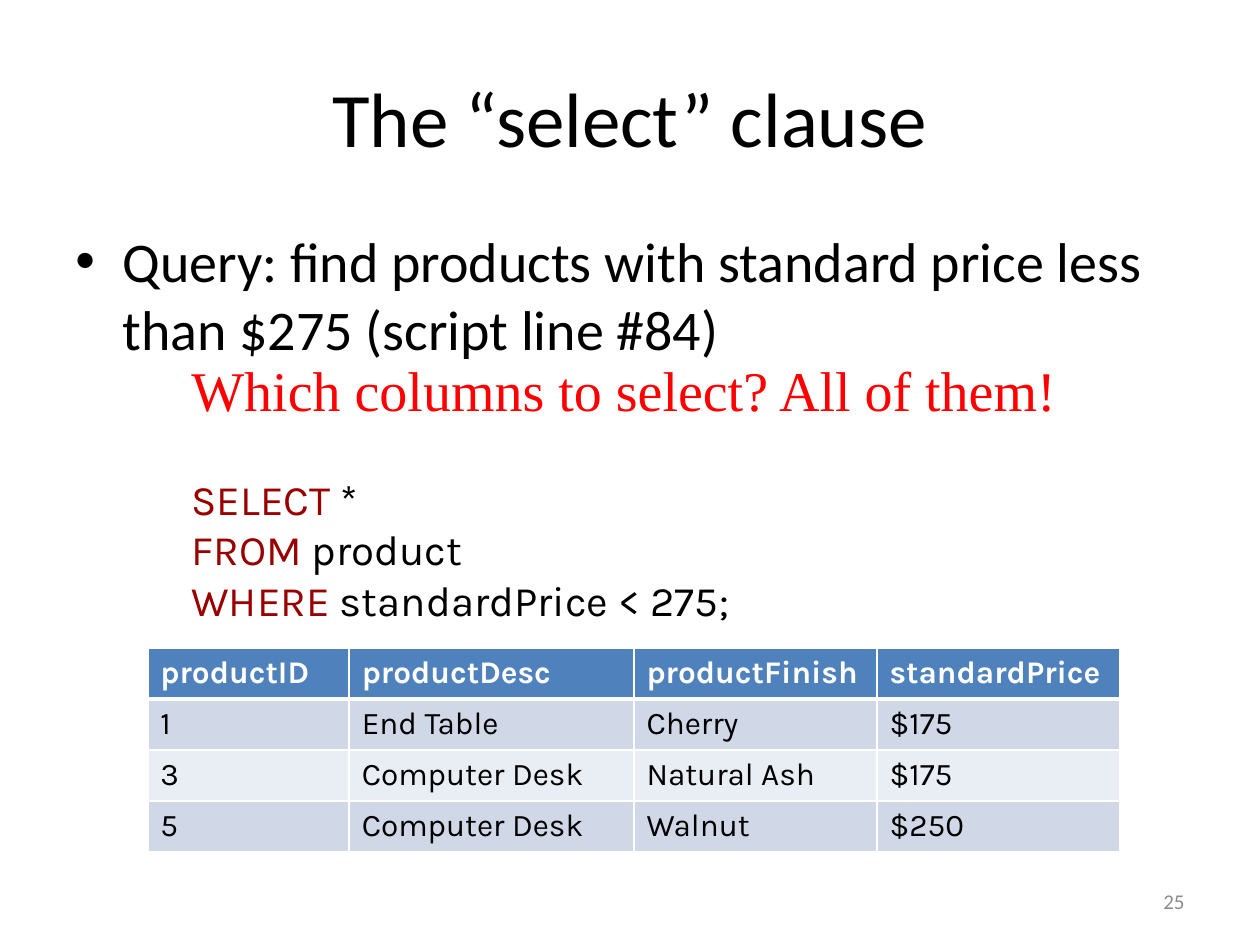
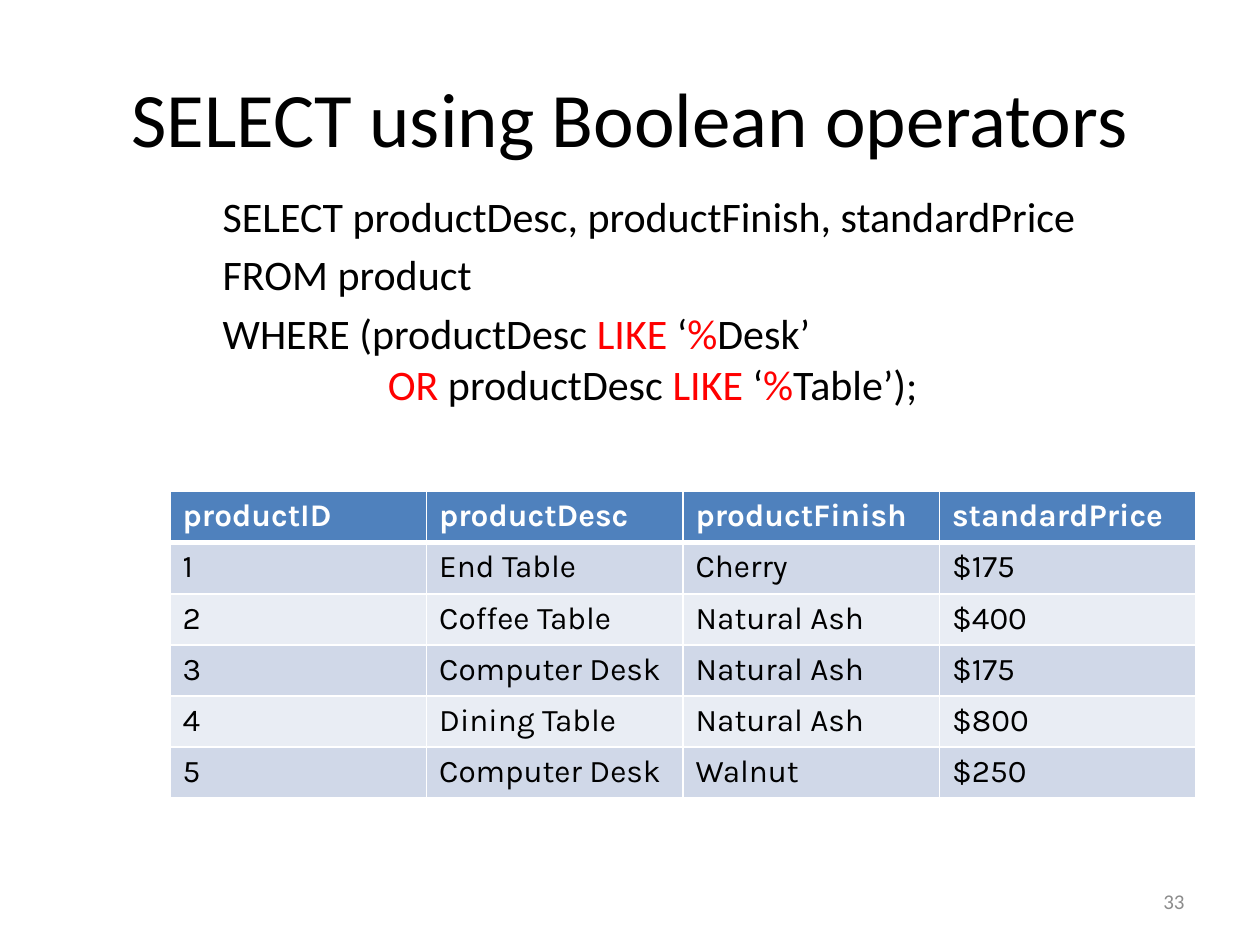
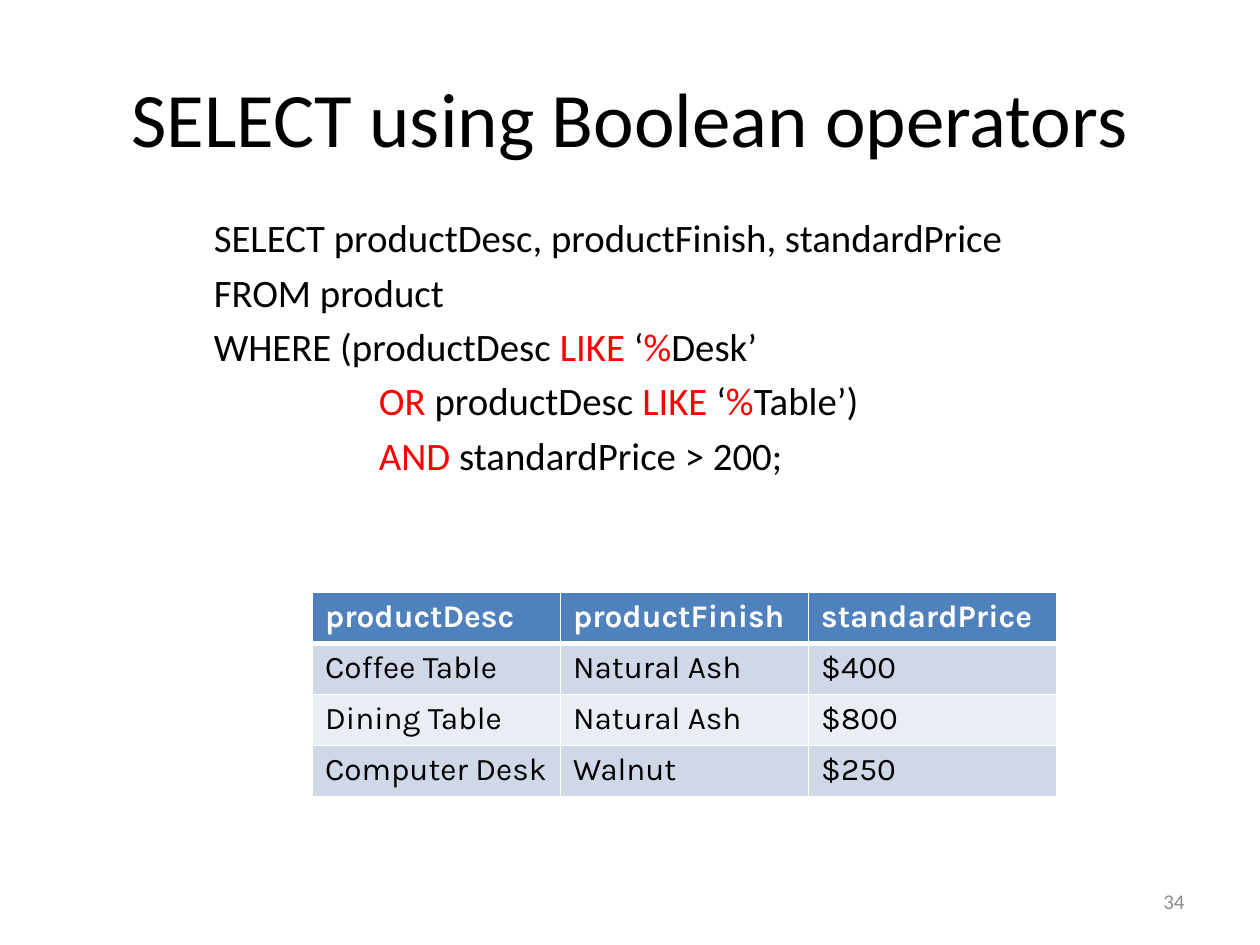
from pptx import Presentation
from pptx.dml.color import RGBColor as Rgb
from pptx.enum.text import MSO_ANCHOR as Anchor, PP_ALIGN as Align
from pptx.oxml.ns import qn
from pptx.util import Cm, Pt
from lxml.etree import SubElement

COLORS = {
    "ink": "000000", "paper": "FFFFFF", "accent": "FF0000", "keyword": "990000",
    "header": "4F81BD", "odd_row": "D0D8E8", "even_row": "E9EDF4", "page": "8C8C8C",
}
TITLE_BOX = (1.27, 0.76, 22.86, 3.18)
PAGE_BOX = (18.2, 17.65, 5.93, 1.02)
CODE_INDENT = 1.27
CONDITION_INDENT = 4.6
ROW_HEIGHT = 1.03
HEADINGS = ["productID", "productDesc", "productFinish", "standardPrice"]
END_TABLE = ["1", "End Table", "Cherry", "$175"]
COFFEE_TABLE = ["2", "Coffee Table", "Natural Ash", "$400"]
ASH_DESK = ["3", "Computer Desk", "Natural Ash", "$175"]
DINING_TABLE = ["4", "Dining Table", "Natural Ash", "$800"]
WALNUT_DESK = ["5", "Computer Desk", "Walnut", "$250"]
SELECT_FROM = [
    [("SELECT productDesc, productFinish, standardPrice", "ink")],
    [("FROM product", "ink")],
]


def rgb(name):
    """Return the palette colour with this name."""
    return Rgb.from_string(COLORS[name])


def style(font, size, color, face="Calibri", bold=False):
    """Apply one text style to a font."""
    font.size, font.name, font.bold = Pt(size), face, bold
    font.color.rgb = rgb(color)


def add_box(slide, box):
    """Add a wrapping text box and return its text frame."""
    frame = slide.shapes.add_textbox(*map(Cm, box)).text_frame
    frame.word_wrap = True
    return frame


def indent(paragraph, left, first=0):
    """Set the left margin and first-line indent of a paragraph."""
    properties = paragraph._p.get_or_add_pPr()
    properties.set("marL", str(Cm(left)))
    properties.set("indent", str(Cm(first)))
    return properties


def add_line(frame, pieces, size, face="Calibri", left=CODE_INDENT, before=0):
    """Write one line of coloured pieces into a text frame."""
    started = bool(frame.paragraphs[0].runs)
    line = frame.add_paragraph() if started else frame.paragraphs[0]
    indent(line, left)
    line.space_before = Pt(before if started else 0)
    for words, color in pieces:
        run = line.add_run()
        run.text = words
        style(run.font, size, color, face)


def start_slide(deck, heading, number):
    """Add a slide with its title and page number."""
    slide = deck.slides.add_slide(deck.slide_layouts[5])
    title = slide.shapes.title
    title.left, title.top, title.width, title.height = map(Cm, TITLE_BOX)
    title.text_frame.text = heading
    title.text_frame.vertical_anchor = Anchor.MIDDLE
    title.text_frame.paragraphs[0].alignment = Align.CENTER
    style(title.text_frame.paragraphs[0].runs[0].font, 44, "ink")
    page = add_box(slide, PAGE_BOX)
    page.text = str(number)
    page.vertical_anchor = Anchor.MIDDLE
    page.paragraphs[0].alignment = Align.RIGHT
    style(page.paragraphs[0].runs[0].font, 12, "page")
    return slide


def add_bullet(slide, box, words):
    """Add the bulleted task statement."""
    bullet = add_box(slide, box).paragraphs[0]
    properties = indent(bullet, 0.95, -0.95)
    SubElement(properties, qn("a:buFont"), typeface="Arial")
    SubElement(properties, qn("a:buChar"), char="•")
    bullet.text = words
    style(bullet.runs[0].font, 32, "ink")


def add_answer(slide, box):
    """Add the remark and the query below it."""
    frame = add_box(slide, box)
    add_line(frame, [("Which columns to select? All of them!", "accent")], 32, "Times New Roman")
    clauses = [("SELECT", " *"), ("FROM", " product"), ("WHERE ", "standardPrice < 275;")]
    for index, (keyword, rest) in enumerate(clauses):
        add_line(frame, [(keyword, "keyword"), (rest, "ink")], 24, "Karla",
                 before=0 if index else 29)


def like(lead, lead_color, pattern, ending):
    """Return the pieces of a LIKE condition."""
    return [(lead, lead_color), ("productDesc ", "ink"), ("LIKE", "accent"),
            (" ‘", "ink"), ("%", "accent"), (pattern + "’" + ending, "ink")]


def add_query(slide, box, size, conditions, condition_gap):
    """Add a query whose further conditions are indented."""
    frame = add_box(slide, box)
    gap = round(size * 0.2, 1)
    for pieces in SELECT_FROM + [like("WHERE (", "ink", "Desk", "")]:
        add_line(frame, pieces, size, before=gap)
    for pieces in conditions:
        add_line(frame, pieces, size, left=CONDITION_INDENT, before=condition_gap)


def rule_cell(cell, row):
    """Draw white borders, heavier below the header row."""
    properties = cell._tc.get_or_add_tcPr()
    for side in "LRTB":
        heavy = (row, side) in ((0, "B"), (1, "T"))
        border = SubElement(properties, qn("a:ln" + side), w=str(Pt(3 if heavy else 1)))
        fill = SubElement(border, qn("a:solidFill"))
        SubElement(fill, qn("a:srgbClr"), val=COLORS["paper"])


def add_products(slide, left, top, widths, rows):
    """Add a product table with a header and banded rows."""
    grid = slide.shapes.add_table(len(rows), len(widths), Cm(left), Cm(top),
                                  Cm(sum(widths)), Cm(ROW_HEIGHT * len(rows))).table
    for column, width in zip(grid.columns, widths):
        column.width = Cm(width)
    for row, values in enumerate(rows):
        band = "header" if row == 0 else "odd_row" if row % 2 else "even_row"
        for column, value in enumerate(values):
            cell = grid.cell(row, column)
            cell.text = value
            style(cell.text_frame.paragraphs[0].runs[0].font, 18,
                  "ink" if row else "paper", "Karla", bold=row == 0)
            rule_cell(cell, row)
            cell.fill.solid()
            cell.fill.fore_color.rgb = rgb(band)


def build_select_clause(deck):
    """Build the slide on the select clause."""
    slide = start_slide(deck, "The “select” clause", 25)
    add_bullet(slide, (1.27, 4.45, 22.86, 12.57),
               "Query: find products with standard price less than $275 (script line #84)")
    add_answer(slide, (2.34, 7.04, 20.57, 5.74))
    add_products(slide, 2.98, 13.06, [4.06, 5.74, 4.9, 4.9],
                 [HEADINGS, END_TABLE, ASH_DESK, WALNUT_DESK])


def build_or_query(deck):
    """Build the slide that joins two conditions with OR."""
    slide = start_slide(deck, "SELECT using Boolean operators", 33)
    add_query(slide, (2.97, 3.71, 22.4, 5.08), 24,
              [like("OR ", "accent", "Table", ");")], 0)
    add_products(slide, 3.43, 9.91, [5.17] * 4,
                 [HEADINGS, END_TABLE, COFFEE_TABLE, ASH_DESK, DINING_TABLE, WALNUT_DESK])


def build_and_query(deck):
    """Build the slide that adds a condition with AND."""
    slide = start_slide(deck, "SELECT using Boolean operators", 34)
    price = [("AND ", "accent"), ("standardPrice > 200;", "ink")]
    add_query(slide, (2.79, 4.19, 20.8, 5.08), 22.2,
              [like("OR ", "accent", "Table", ")"), price], 4.4)
    products = [HEADINGS, COFFEE_TABLE, DINING_TABLE, WALNUT_DESK]
    add_products(slide, 6.3, 11.94, [5.0] * 3, [product[1:] for product in products])


def main():
    """Build and save the deck."""
    deck = Presentation()
    deck.slide_width, deck.slide_height = Cm(25.4), Cm(19.05)
    for build in (build_select_clause, build_or_query, build_and_query):
        build(deck)
    deck.save("out.pptx")


if __name__ == "__main__":
    main()
